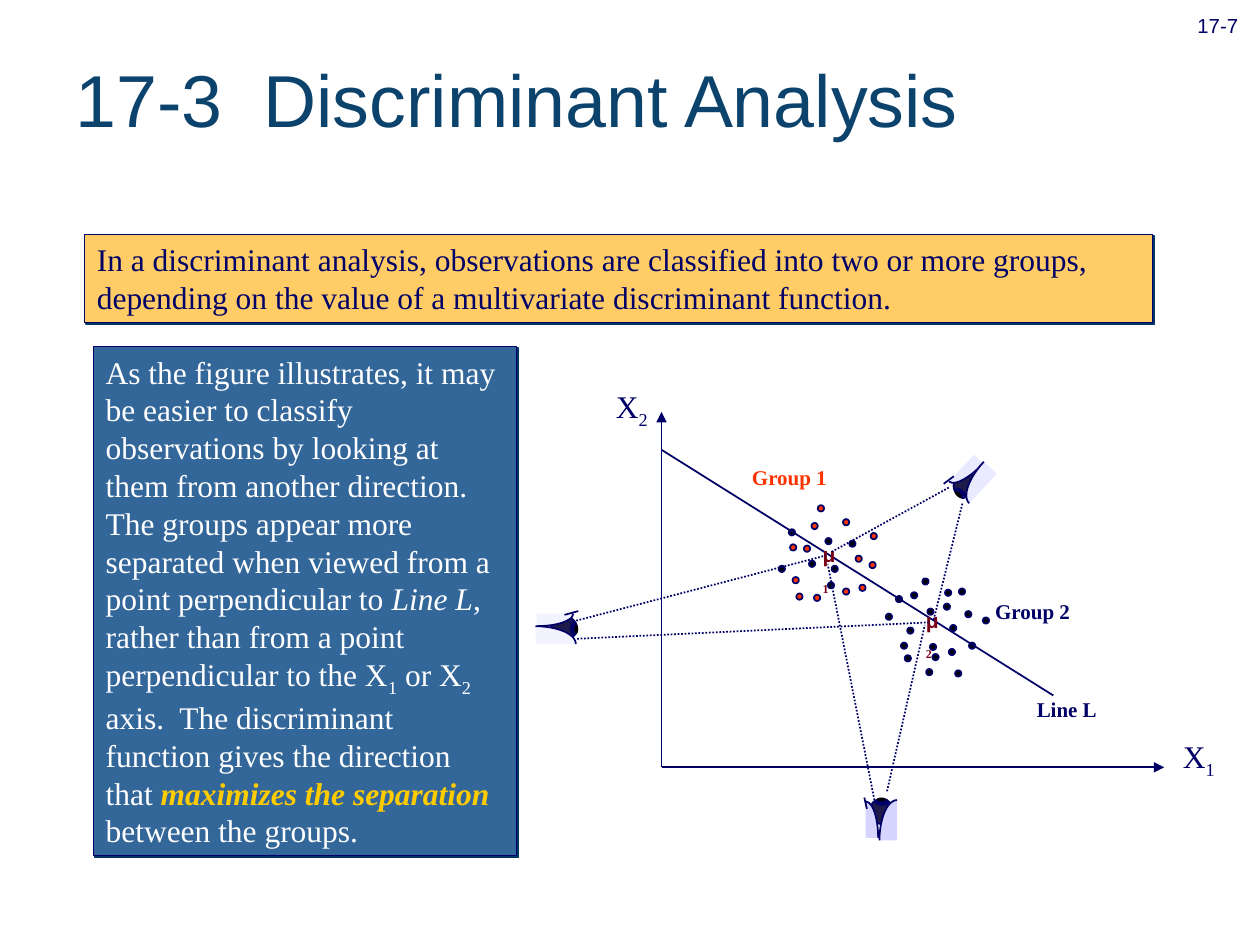
from dataclasses import dataclass
from lxml.etree import SubElement
from pptx import Presentation
from pptx.dml.color import RGBColor
from pptx.enum.dml import MSO_LINE_DASH_STYLE as Dash
from pptx.enum.shapes import MSO_CONNECTOR as Connector, MSO_SHAPE as Shape
from pptx.enum.text import MSO_ANCHOR as Anchor, PP_ALIGN as Align
from pptx.oxml.ns import qn
from pptx.util import Inches, Pt


@dataclass(frozen=True)
class Theme:
    ink: str = "000066"
    title: str = "0C436C"
    banner: str = "FFCC66"
    panel: str = "336699"
    shadow: str = "003366"
    white: str = "FFFFFF"
    accent: str = "FFCC00"
    red: str = "FF3300"
    mean: str = "790015"
    black: str = "000000"
    eyeball: str = "1E1B4B"
    sans: str = "Arial"
    serif: str = "Times New Roman"
    title_size: int = 42
    number_size: int = 20
    body_size: int = 18
    label_size: int = 12


THEME = Theme()
LOWER_RIGHT, LOWER_LEFT = (0, 90), (90, 180)
DOT = 0.05

GROUP_1_RED = [
    (6.38, 4.33), (6.29, 4.58), (6.91, 4.23), (6.9, 4.46), (6.79, 4.41),
    (6.32, 4.71), (6.82, 4.64), (6.44, 4.15), (6.69, 4.67), (6.69, 4.12),
    (6.46, 4.72), (6.49, 4.01), (6.27, 4.32),
]
GROUP_1_BLACK = [
    (6.55, 4.27), (6.42, 4.45), (6.74, 4.29), (6.18, 4.49), (6.57, 4.62),
    (6.26, 4.2), (6.6, 4.49),
]
GROUP_2_BLACK = [
    (7.54, 4.96), (7.49, 4.79), (7.23, 4.7), (7.36, 4.83), (7.58, 5.32),
    (7.53, 5.15), (7.35, 5.31), (7.4, 5.19), (7.32, 4.59), (7.11, 4.73),
    (7.38, 5.11), (7.66, 4.85), (7.15, 5.1), (7.2, 4.98), (7.69, 5.1),
    (7.61, 4.67), (7.03, 4.87), (7.18, 5.2), (7.8, 4.9), (7.5, 4.68),
]

EYES = [
    dict(tint="F3F3FF", turn=0, lid_turn=0, quarters=(LOWER_RIGHT, LOWER_LEFT),
         ball=(4.37, 4.89, 0.21, 0.19), iris=(4.53, 4.94, 0.05, 0.1),
         pupil=(4.56, 4.96, 0.03, 0.07), lids=((3.97, 4.77), (3.93, 4.97)),
         lash=((4.59, 4.85), (4.48, 4.88)),
         sights=(((4.52, 4.94), (6.55, 4.41)), ((4.58, 5.07), (7.37, 4.94)))),
    dict(tint="D5D5FF", turn=0, lid_turn=270, quarters=(LOWER_RIGHT, LOWER_LEFT),
         ball=(6.9, 6.34, 0.19, 0.2), iris=(6.95, 6.34, 0.1, 0.05),
         pupil=(6.96, 6.33, 0.07, 0.03), lids=((6.58, 6.55), (6.8, 6.53)),
         lash=((6.86, 6.33), (6.88, 6.42)),
         sights=(((6.94, 6.35), (6.57, 4.48)), ((7.04, 6.28), (7.34, 4.96)))),
    dict(tint="E9E9FF", turn=43, lid_turn=313, quarters=(LOWER_LEFT, LOWER_RIGHT),
         ball=(7.57, 3.75, 0.19, 0.2), iris=(7.57, 3.89, 0.1, 0.05),
         pupil=(7.57, 3.91, 0.07, 0.03), lids=((7.44, 3.51), (7.59, 3.62)),
         lash=((7.49, 3.84), (7.57, 3.78)),
         sights=(((6.6, 4.38), (7.53, 3.87)), ((7.41, 4.92), (7.64, 3.99)))),
]


class Page:
    def __init__(self, deck, theme):
        self.theme = theme
        self.slide = deck.slides.add_slide(deck.slide_layouts[5])
        self.shapes = self.slide.shapes

    def start_group(self):
        self.shapes = self.slide.shapes.add_group_shape().shapes

    def end_group(self):
        self.shapes = self.slide.shapes

    def add_runs(self, box, runs, size, font, color, wrap=True, align=Align.LEFT, anchor=Anchor.TOP):
        frame = box.text_frame
        frame.word_wrap = wrap
        frame.vertical_anchor = anchor
        para = frame.paragraphs[0]
        para.alignment = align
        for text, style in runs:
            span = para.add_run()
            span.text = text
            span.font.size = Pt(size)
            span.font.name = style.get("font", font)
            span.font.bold = style.get("bold", False)
            span.font.italic = style.get("italic", False)
            span.font.color.rgb = RGBColor.from_string(style.get("color", color))
            if style.get("sub"):
                span.font._element.set("baseline", "-25000")

    def title(self, text, at):
        box = self.slide.shapes.title
        box.left, box.top, box.width, box.height = map(Inches, at)
        self.add_runs(box, [(text, {})], self.theme.title_size, self.theme.sans,
                      self.theme.title, anchor=Anchor.MIDDLE)

    def text(self, runs, at, size, color=None, font=None, wrap=False, align=Align.LEFT):
        box = self.shapes.add_textbox(*map(Inches, at))
        self.add_runs(box, runs, size, font or self.theme.serif, color or self.theme.ink, wrap, align)

    def shape(self, kind, at, fill, line=1, turn=0):
        box = self.shapes.add_shape(kind, *map(Inches, at))
        box.shadow.inherit = False
        box.rotation = turn
        box.fill.solid()
        box.fill.fore_color.rgb = RGBColor.from_string(fill)
        if line:
            box.line.color.rgb = RGBColor.from_string(self.theme.ink)
            box.line.width = Pt(line)
        else:
            box.line.fill.background()
        return box

    def panel(self, runs, at, fill, color):
        box = self.shape(Shape.RECTANGLE, at, fill, 0.75)
        effects = box._element.spPr.find(qn("a:effectLst"))
        shadow = SubElement(effects, qn("a:outerShdw"), dist=str(Pt(1.4)),
                            dir="2700000", algn="ctr", rotWithShape="0")
        SubElement(shadow, qn("a:srgbClr"), val=self.theme.shadow)
        self.add_runs(box, runs, self.theme.body_size, self.theme.serif, color)

    def line(self, start, end, dotted=False, arrow=False):
        line = self.shapes.add_connector(Connector.STRAIGHT, *map(Inches, start + end))
        line.line.color.rgb = RGBColor.from_string(self.theme.ink)
        line.line.width = Pt(1)
        if dotted:
            line.line.dash_style = Dash.ROUND_DOT
        properties = line._element.spPr
        if arrow:
            SubElement(properties.find(qn("a:ln")), qn("a:tailEnd"), type="triangle")
        SubElement(properties, qn("a:effectLst"))

    def dots(self, points, fill):
        for left, top in points:
            self.shape(Shape.OVAL, (left, top, DOT, DOT), fill)

    def eye(self, tint, turn, lid_turn, quarters, ball, iris, pupil, lids, lash, sights):
        self.shape(Shape.OVAL, ball, self.theme.eyeball, turn=turn)
        self.shape(Shape.OVAL, iris, self.theme.ink, turn=turn)
        self.shape(Shape.OVAL, pupil, self.theme.black, line=0, turn=turn)
        sizes = ((0.58, 0.2), (0.64, 0.28))
        turns = (lid_turn, (lid_turn + 180) % 360)
        second_quarters = (quarters[0], quarters[1])
        for corner, size, angle, quarter in zip(lids, sizes, turns, second_quarters):
            lid = self.shape(Shape.ARC, corner + size, tint, turn=angle)
            for index, degrees in enumerate(quarter):
                lid.adjustments[index] = degrees * 0.6
        self.line(*lash)
        for sight in sights:
            self.line(*sight, dotted=True)


def main():
    deck = Presentation()
    deck.slide_width, deck.slide_height = Inches(10), Inches(7.5)
    page = Page(deck, THEME)
    sub = {"sub": True}
    bold = {"bold": True}

    page.title("17-3  Discriminant Analysis", (0.5, 0.15, 9.27, 1.25))
    page.panel([("In a discriminant analysis, observations are classified into two or more groups, "
                 "depending on the value of a multivariate discriminant function.", {})],
               (0.67, 1.86, 8.48, 0.7), THEME.banner, THEME.ink)

    page.start_group()
    for tip in ((5.25, 3.27), (9.24, 6.09)):
        page.line((5.25, 6.09), tip, arrow=True)
    page.dots(GROUP_2_BLACK, THEME.black)
    page.dots(GROUP_1_RED, THEME.red)
    page.dots(GROUP_1_BLACK, THEME.black)
    page.line((5.25, 3.57), (8.36, 5.52))

    for digit, left, top in (("2", 4.79, 3.02), ("1", 9.29, 5.8)):
        page.text([("X", {}), (digit, sub)], (left, top, 0.45, 0.44), THEME.body_size)
    for name, at, color in (("Group 1", (5.87, 3.64, 0.8, 0.3), THEME.red),
                            ("Group 2", (7.8, 4.7, 0.8, 0.3), THEME.ink),
                            ("Line L", (8.13, 5.48, 0.68, 0.3), THEME.ink)):
        page.text([(name, bold)], at, THEME.label_size, color)
    for digit, left, top in (("1", 6.43, 4.25), ("2", 7.25, 4.77)):
        page.text([("μ", {"bold": True, "font": THEME.sans}), (digit, bold | sub)],
                  (left, top, 0.34, 0.32), THEME.label_size, THEME.mean, wrap=True)
    for eye in EYES:
        page.eye(**eye)

    page.panel([
        ("As the figure illustrates, it may be easier to classify observations by looking at them "
         "from another direction.  The groups appear more separated when viewed from a point "
         "perpendicular to ", {}),
        ("Line L", {"italic": True}),
        (", rather than from a point perpendicular to the X", {}),
        ("1", sub), (" or X", {}), ("2", sub),
        (" axis.  The discriminant function gives the direction that ", {}),
        ("maximizes the separation ", {"bold": True, "italic": True, "color": THEME.accent}),
        ("between the groups.", {}),
    ], (0.74, 2.75, 3.36, 4.04), THEME.panel, THEME.white)
    page.end_group()

    page.text([("17-7", sub)], (9.29, -0.13, 0.75, 0.48), THEME.number_size,
              font=THEME.sans, wrap=True, align=Align.CENTER)
    deck.save("out.pptx")


if __name__ == "__main__":
    main()
